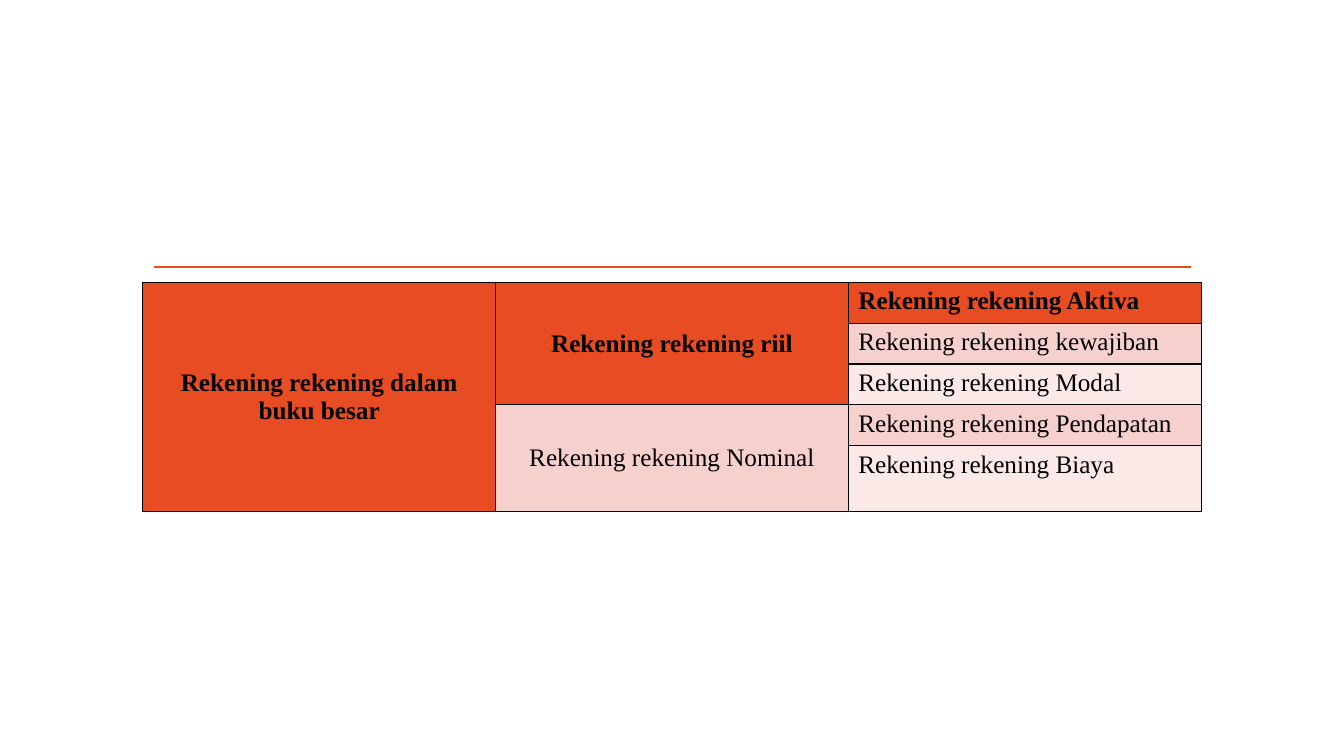
from lxml.etree import SubElement
from pptx import Presentation
from pptx.dml.color import RGBColor
from pptx.enum.shapes import MSO_CONNECTOR
from pptx.enum.text import MSO_ANCHOR, PP_ALIGN
from pptx.oxml.ns import qn
from pptx.util import Pt

ORANGE = RGBColor(0xE8, 0x4C, 0x22)
ROSE = RGBColor(0xF6, 0xD0, 0xCD)
BLUSH = RGBColor(0xFB, 0xE9, 0xE8)
BLACK = RGBColor(0, 0, 0)

ROW_COUNT, COLUMN_COUNT = 5, 3
ROW_HEIGHT, COLUMN_WIDTH = 29.2, 252

# Row, column, rows spanned, fill, text
ACCOUNTS = [
    (0, 0, 5, ORANGE, "Rekening rekening dalam buku besar"),
    (0, 1, 3, ORANGE, "Rekening rekening riil"),
    (3, 1, 2, ROSE, "Rekening rekening Nominal"),
    (0, 2, 1, ORANGE, "Rekening rekening Aktiva"),
    (1, 2, 1, ROSE, "Rekening rekening kewajiban"),
    (2, 2, 1, BLUSH, "Rekening rekening Modal"),
    (3, 2, 1, ROSE, "Rekening rekening Pendapatan"),
    (4, 2, 1, BLUSH, "Rekening rekening Biaya"),
]


class SlideBuilder:
    font = {"name": "Times New Roman", "size": Pt(18)}
    border_width = Pt(1)

    def __init__(self, page):
        self.page = page

    def rule(self, left, top, right, color, width):
        line = self.page.shapes.add_connector(
            MSO_CONNECTOR.STRAIGHT, Pt(left), Pt(top), Pt(right), Pt(top))
        line.line.color.rgb = color
        line.line.width = Pt(width)
        SubElement(line._element.spPr, qn("a:effectLst"))

    def table(self, left, top, accounts):
        table = self.page.shapes.add_table(
            ROW_COUNT, COLUMN_COUNT, Pt(left), Pt(top),
            Pt(COLUMN_COUNT * COLUMN_WIDTH), Pt(ROW_COUNT * ROW_HEIGHT)).table
        for column in table.columns:
            column.width = Pt(COLUMN_WIDTH)
        for row in table.rows:
            row.height = Pt(ROW_HEIGHT)
        for cell in table.iter_cells():
            self.borders(cell)
        for row, column, span, fill, text in accounts:
            cell = table.cell(row, column)
            if span > 1:
                cell.merge(table.cell(row + span - 1, column))
            self.fill_cell(cell, fill, text, bold=fill == ORANGE)

    def borders(self, cell):
        properties = cell._tc.get_or_add_tcPr()
        for side in ("a:lnL", "a:lnR", "a:lnT", "a:lnB"):
            border = SubElement(properties, qn(side), w=str(self.border_width))
            paint = SubElement(border, qn("a:solidFill"))
            SubElement(paint, qn("a:srgbClr"), val=str(BLACK))

    def fill_cell(self, cell, fill, text, bold):
        cell.fill.solid()
        cell.fill.fore_color.rgb = fill
        para = cell.text_frame.paragraphs[0]
        if cell.is_merge_origin:
            cell.vertical_anchor = MSO_ANCHOR.MIDDLE
            para.alignment = PP_ALIGN.CENTER
        span = para.add_run()
        span.text = text
        for name, value in {**self.font, "bold": bold}.items():
            setattr(span.font, name, value)
        span.font.color.rgb = BLACK


def main():
    deck = Presentation()
    deck.slide_width, deck.slide_height = Pt(960), Pt(540)
    builder = SlideBuilder(deck.slides.add_slide(deck.slide_layouts[6]))

    # Rule under the empty title area
    builder.rule(110, 190.8, 850.4, ORANGE, 1.25)

    # Classification of ledger accounts
    builder.table(102, 201.6, ACCOUNTS)

    deck.save("out.pptx")


if __name__ == "__main__":
    main()
